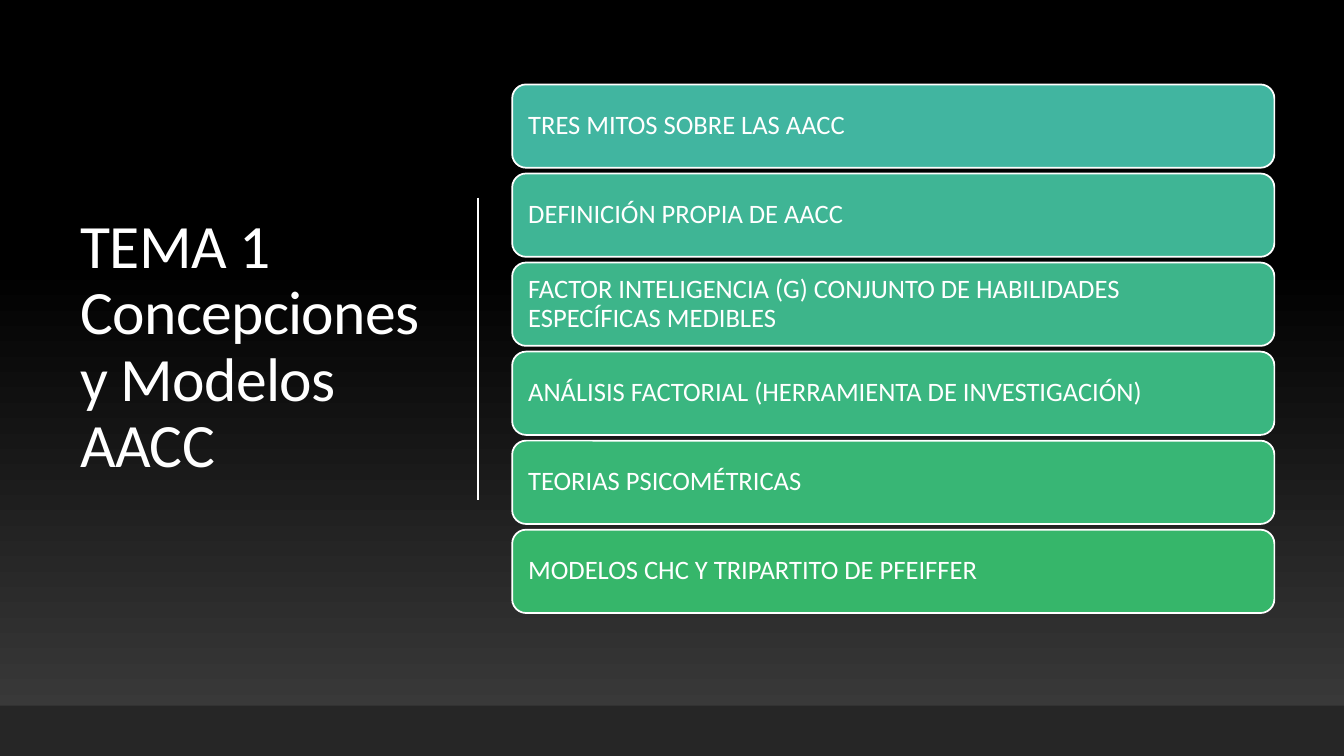
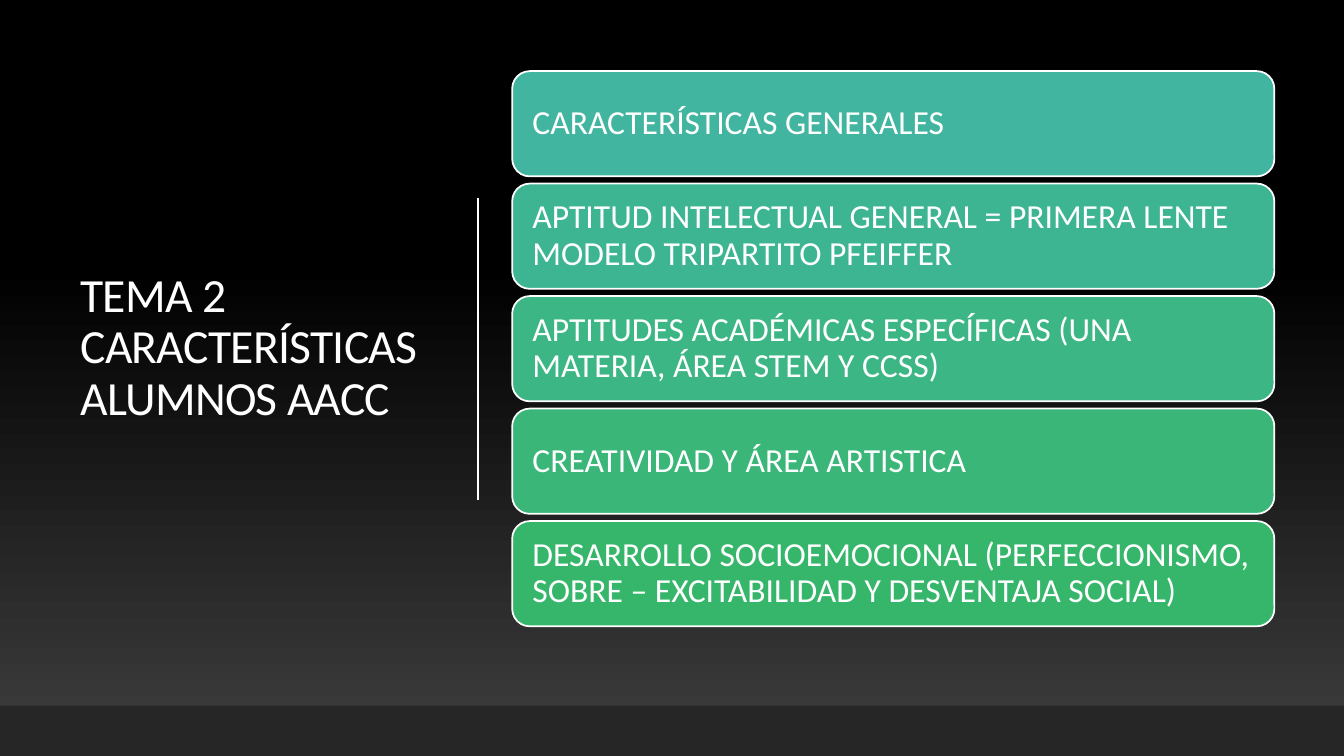
import pptx
import pptx.dml.color
import pptx.enum.shapes
import pptx.enum.text
import pptx.oxml
import pptx.util

WHITE, BLACK, GREY, BAND = "FFFFFF", "000000", "3F3F3F", "262626"
TEAL, GREEN = "41B5A0", "36B66A"
FONT = "Calibri"
SHAPE = pptx.enum.shapes.MSO_SHAPE
MIDDLE = pptx.enum.text.MSO_ANCHOR.MIDDLE
LEFT = pptx.enum.text.PP_ALIGN.LEFT


def rgb(value):
    return pptx.dml.color.RGBColor.from_string(value)


def blend(start, end, share):
    pairs = zip(rgb(start), rgb(end))
    return "".join(f"{round(a + (b - a) * share):02X}" for a, b in pairs)


class Deck:
    """Slides in one style, laid out on a grid of 100 columns by 100 rows."""

    def __init__(self):
        self.prs = pptx.Presentation()
        self.prs.slide_width = pptx.util.Inches(13.33)
        self.prs.slide_height = pptx.util.Inches(7.5)
        self.s = None

    def col(self, n):
        return round(self.prs.slide_width * n / 100)

    def row(self, n):
        return round(self.prs.slide_height * n / 100)

    def box(self, x, y, w, h):
        return self.col(x), self.row(y), self.col(w), self.row(h)

    def slide(self):
        self.s = self.prs.slides.add_slide(self.prs.slide_layouts[6])
        fill = self.s.background.fill
        fill.gradient()
        fill.gradient_angle = 90
        for stop, position, color in zip(fill.gradient_stops, (0, 0.65), (GREY, BLACK)):
            stop.position = position
            stop.color.rgb = rgb(color)
        self.rule(35.56, 26.13, 66.13)
        self.shape(SHAPE.RECTANGLE, (0, 93.33, 100, 6.67), BAND)

    def text(self, sp, text, size, spacing=0):
        tf = sp.text_frame
        tf.text = text
        tf.word_wrap = True
        tf.vertical_anchor = MIDDLE
        p = tf.paragraphs[0]
        p.alignment = LEFT
        p.line_spacing = 0.9
        r = p.runs[0]
        r.font.name = FONT
        r.font.size = pptx.util.Pt(size)
        r.font.color.rgb = rgb(WHITE)
        if spacing:
            r.font._element.set("spc", str(round(spacing * 100)))

    def title(self, text, size):
        sp = self.s.shapes.add_textbox(*self.box(5.25, 9.2, 27.68, 73.73))
        self.text(sp, text, size, spacing=-0.5)

    def rule(self, x, top, bottom):
        line = self.s.shapes.add_connector(
            pptx.enum.shapes.MSO_CONNECTOR.STRAIGHT,
            self.col(x), self.row(top), self.col(x), self.row(bottom))
        line.line.color.rgb = rgb(WHITE)
        line.line.width = pptx.util.Pt(1)
        line._element.spPr.append(pptx.oxml.parse_xml(
            '<a:effectLst xmlns:a="http://schemas.openxmlformats.org/drawingml/2006/main"/>'))

    def shape(self, kind, place, color, outline=0):
        sp = self.s.shapes.add_shape(kind, *self.box(*place))
        sp.shadow.inherit = False
        sp.fill.solid()
        sp.fill.fore_color.rgb = rgb(color)
        if outline:
            sp.line.color.rgb = rgb(WHITE)
            sp.line.width = pptx.util.Pt(outline)
        else:
            sp.line.fill.background()
        return sp

    def bars(self, items, size):
        height, gap = 0.58 * size, 0.04 * size
        count = len(items)
        top = 46.13 - (count * height + (count - 1) * gap) / 2
        inset = pptx.util.Pt(0.45 * size)
        for i, item in enumerate(items):
            place = (38.11, top + i * (height + gap), 56.71, height)
            color = blend(TEAL, GREEN, i / (count - 1))
            sp = self.shape(SHAPE.ROUNDED_RECTANGLE, place, color, 1.25)
            self.text(sp, item, size)
            tf = sp.text_frame
            tf.margin_left = tf.margin_right = inset
            tf.margin_top = tf.margin_bottom = inset


TOPICS = [
    ("TEMA 1 Concepciones y Modelos AACC", 44, 19, [
        "TRES MITOS SOBRE LAS AACC",
        "DEFINICIÓN PROPIA DE AACC",
        "FACTOR INTELIGENCIA (G) CONJUNTO DE HABILIDADES ESPECÍFICAS MEDIBLES",
        "ANÁLISIS FACTORIAL (HERRAMIENTA DE INVESTIGACIÓN)",
        "TEORIAS PSICOMÉTRICAS",
        "MODELOS CHC Y TRIPARTITO DE PFEIFFER",
    ]),
    ("TEMA 2 CARACTERÍSTICAS ALUMNOS AACC", 34, 24, [
        "CARACTERÍSTICAS GENERALES",
        "APTITUD INTELECTUAL GENERAL = PRIMERA LENTE MODELO TRIPARTITO PFEIFFER",
        "APTITUDES ACADÉMICAS ESPECÍFICAS (UNA MATERIA, ÁREA STEM Y CCSS)",
        "CREATIVIDAD Y ÁREA ARTISTICA",
        "DESARROLLO SOCIOEMOCIONAL (PERFECCIONISMO, SOBRE – EXCITABILIDAD Y DESVENTAJA SOCIAL)",
    ]),
]


def main():
    deck = Deck()
    for title, title_size, bar_size, items in TOPICS:
        deck.slide()
        deck.title(title, title_size)
        deck.bars(items, bar_size)
    deck.prs.save("out.pptx")


if __name__ == "__main__":
    main()
